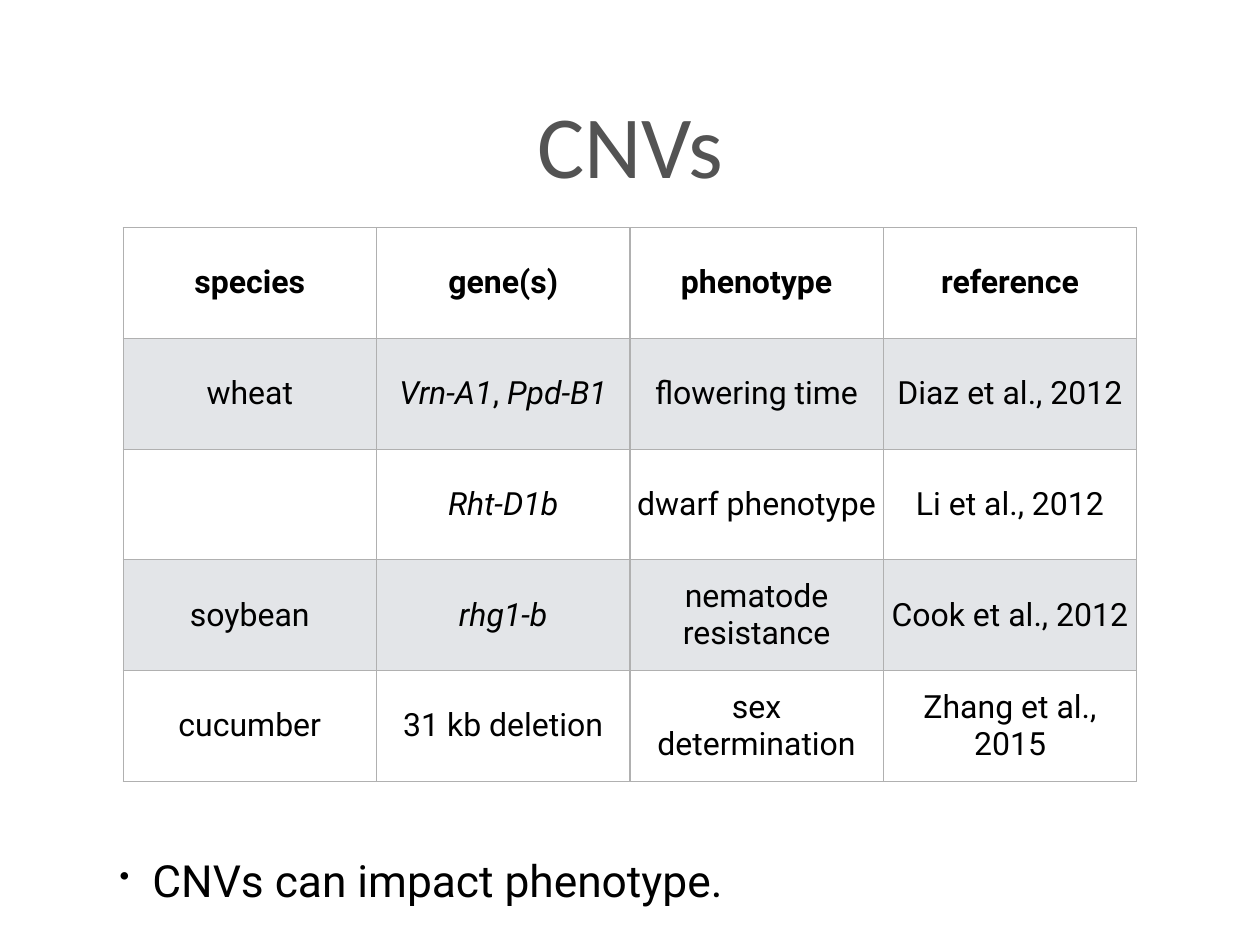
import pptx
import pptx.dml.color
import pptx.enum.text
import pptx.oxml
import pptx.oxml.ns
import pptx.util
from pptx.util import Inches

ROWS = [
    ["species", "gene(s)", "phenotype", "reference"],
    ["wheat", "*Vrn-A1*, *Ppd-B1*", "flowering time", "Diaz et al., 2012"],
    ["", "*Rht-D1b*", "dwarf phenotype", "Li et al., 2012"],
    ["soybean", "*rhg1-b*", "nematode resistance", "Cook et al., 2012"],
    ["cucumber", "31 kb deletion", "sex determination", "Zhang et al., 2015"],
]
CENTER = pptx.enum.text.PP_ALIGN.CENTER
MIDDLE = pptx.enum.text.MSO_ANCHOR.MIDDLE


def color(code):
    """Return the colour for a hex string."""
    return pptx.dml.color.RGBColor.from_string(code)


def style(font, size, code="000000", name="Roboto"):
    """Set size, colour and typeface of a font."""
    font.size = pptx.util.Pt(size)
    font.color.rgb = color(code)
    font.name = name


def add_xml(parent, tag, attrs, inner=""):
    """Append one drawing element to a parent."""
    space = pptx.oxml.ns.nsdecls("a")
    parent.append(pptx.oxml.parse_xml(f"<a:{tag} {space} {attrs}>{inner}</a:{tag}>"))


def add_text(slide, text, left, top, width, height):
    """Add a wrapped text box without insets and return its paragraph."""
    box = slide.shapes.add_textbox(Inches(left), Inches(top), Inches(width), Inches(height))
    frame = box.text_frame
    frame.word_wrap = True
    frame.vertical_anchor = MIDDLE
    frame.margin_left = frame.margin_right = frame.margin_top = frame.margin_bottom = 0
    frame.text = text
    return frame.paragraphs[0]


def add_bullet(para):
    """Give a paragraph a small bullet with a hanging indent."""
    props = para._p.get_or_add_pPr()
    indent = Inches(0.37)
    props.set("marL", str(indent))
    props.set("indent", str(-indent))
    add_xml(props, "buSzPct", 'val="65000"')
    add_xml(props, "buChar", 'char="•"')


def fill_cell(cell, text, head, shade):
    """Write a cell, with starred parts in italics, and draw its borders."""
    cell.vertical_anchor = MIDDLE
    cell.margin_left = cell.margin_right = Inches(0.06)
    cell.margin_top = cell.margin_bottom = Inches(0.06)
    props = cell._tc.get_or_add_tcPr()
    for side in ("lnL", "lnR", "lnT", "lnB"):
        add_xml(props, side, 'w="12700"', '<a:solidFill><a:srgbClr val="B0B0B0"/></a:solidFill>')
    cell.fill.solid()
    cell.fill.fore_color.rgb = color(shade)
    para = cell.text_frame.paragraphs[0]
    para.alignment = CENTER
    for spot, part in enumerate(text.split("*")):
        if part:
            run = para.add_run()
            run.text = part
            style(run.font, 26)
            run.font.bold = head
            run.font.italic = spot % 2 == 1


def add_grid(slide, rows, left, top, width, height):
    """Add the table with shaded alternate rows."""
    table = slide.shapes.add_table(
        len(rows), len(rows[0]), Inches(left), Inches(top), Inches(width), Inches(height)
    ).table
    for r, row in enumerate(rows):
        for c, text in enumerate(row):
            fill_cell(table.cell(r, c), text, r == 0, "E3E5E8" if r % 2 else "FFFFFF")


def main():
    """Build and save the slide."""
    deck = pptx.Presentation()
    deck.slide_width, deck.slide_height = Inches(14.22), Inches(10.67)
    slide = deck.slides.add_slide(deck.slide_layouts[6])
    title = add_text(slide, "CNVs", 0.39, 0.28, 13.44, 2.67)
    title.alignment = CENTER
    style(title.runs[0].font, 72, "535353", "Calibri")
    point = add_text(slide, "CNVs can impact phenotype.", 1.35, 9.28, 11.96, 1.31)
    add_bullet(point)
    style(point.runs[0].font, 36)
    add_grid(slide, ROWS, 1.39, 2.57, 11.44, 6.25)
    deck.save("out.pptx")


if __name__ == "__main__":
    main()
